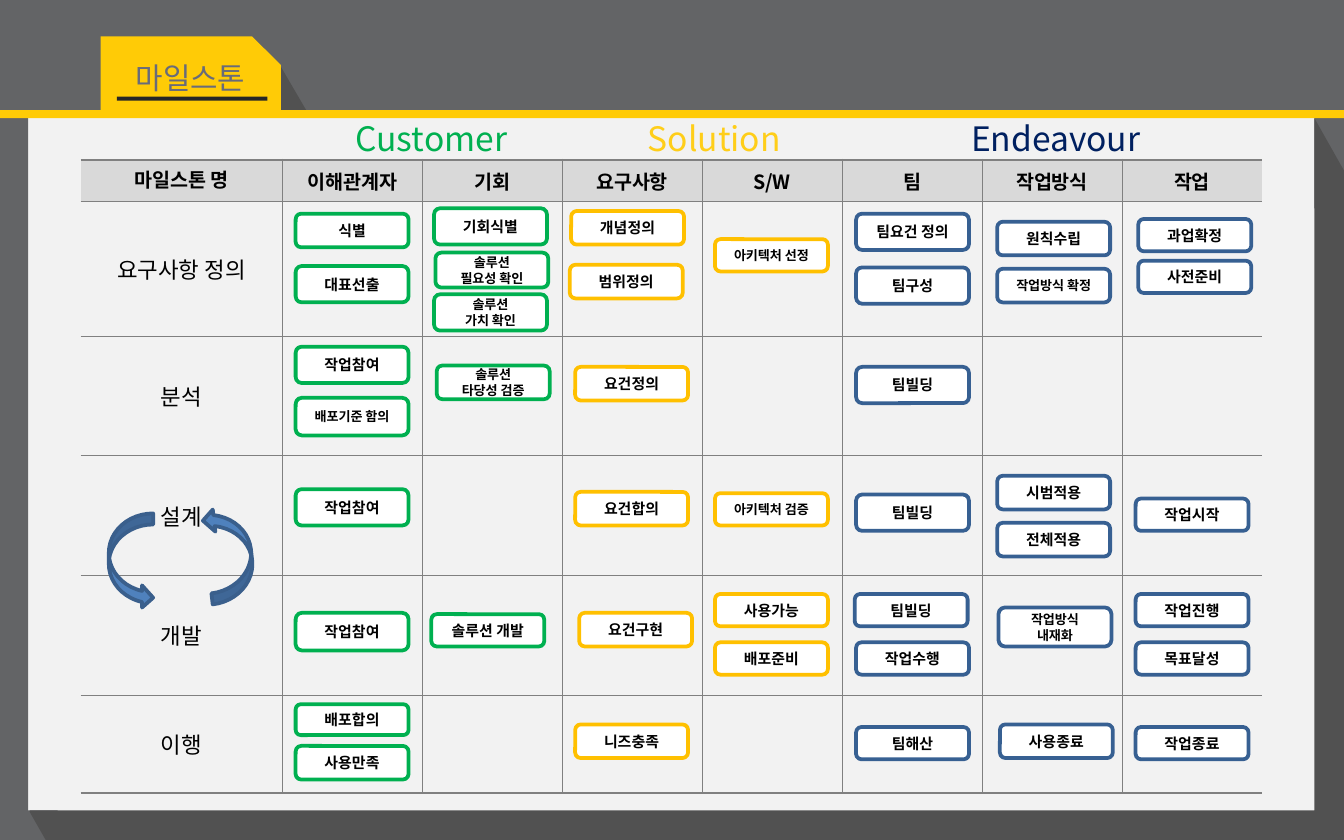
from dataclasses import dataclass

from lxml.etree import SubElement
from pptx import Presentation
from pptx.dml.color import RGBColor
from pptx.enum.shapes import MSO_SHAPE
from pptx.enum.text import MSO_ANCHOR, MSO_AUTO_SIZE, PP_ALIGN
from pptx.oxml.ns import qn
from pptx.util import Inches, Pt


@dataclass(frozen=True)
class Theme:
    font: str = "Noto Sans CJK KR"
    # Colours
    paper: str = "F2F2F2"
    frame: str = "636466"
    shade: str = "515151"
    accent: str = "FFCB06"
    rule: str = "262626"
    title: str = "686B7A"
    text: str = "000000"
    white: str = "FFFFFF"
    header: str = "D9D9D9"
    grid: str = "808080"
    green: str = "00B050"
    amber: str = "FFC000"
    yellow: str = "FFCE19"
    blue: str = "376092"
    navy: str = "002060"
    arrow: str = "4F81BD"
    arrow_line: str = "3A5F8C"
    # Type sizes and line widths in points
    title_size: float = 16
    group_size: float = 18
    header_size: float = 10.5
    row_size: float = 12
    box_size: float = 8
    small_size: float = 7
    thin: float = 0.25
    thick: float = 1.5
    outline: float = 2


THEME = Theme()

HEADERS = ["마일스톤 명", "이해관계자", "기회", "요구사항", "S/W", "팀", "작업방식", "작업"]
PHASES = ["요구사항 정의", "분석", "설계", "개발", "이행"]
ROW_HEIGHTS = [0.31, 1, 0.89, 0.89, 0.89, 0.73]
TABLE_LEFT, TABLE_TOP, TABLE_WIDTH, FIRST_COL = 0.6, 1.19, 8.79, 1.5

# Group heading: text, left, width, colour
GROUPS = [
    ("Customer", 2.51, 1.4, THEME.green),
    ("Solution", 4.7, 1.23, THEME.yellow),
    ("Endeavour", 7.01, 1.69, THEME.navy),
]

# One entry per table column: colour, then boxes as (text, left, top, height)
BOX_WIDTH = 0.84
MILESTONES = [
    (THEME.green, [
        ("식별", 2.2, 1.59, 0.25), ("대표선출", 2.2, 1.98, 0.27),
        ("작업참여", 2.2, 2.58, 0.27), ("배포기준 함의", 2.2, 2.96, 0.28),
        ("작업참여", 2.2, 3.64, 0.27), ("작업참여", 2.2, 4.56, 0.28),
        ("배포합의", 2.2, 5.24, 0.23), ("사용만족", 2.2, 5.55, 0.25)]),
    (THEME.green, [
        ("기회식별", 3.23, 1.55, 0.27), ("솔루션\n필요성 확인", 3.24, 1.88, 0.26),
        ("솔루션\n가치 확인", 3.23, 2.19, 0.27), ("솔루션\n타당성 검증", 3.25, 2.72, 0.25),
        ("솔루션 개발", 3.21, 4.57, 0.24)]),
    (THEME.amber, [
        ("개념정의", 4.25, 1.57, 0.25), ("범위정의", 4.24, 1.97, 0.25),
        ("요건정의", 4.28, 2.73, 0.25), ("요건합의", 4.28, 3.66, 0.25),
        ("요건구현", 4.31, 4.56, 0.25), ("니즈충족", 4.28, 5.39, 0.25)]),
    (THEME.amber, [
        ("아키텍처 선정", 5.32, 1.78, 0.24), ("아키텍처 검증", 5.32, 3.67, 0.24),
        ("사용가능", 5.32, 4.42, 0.24), ("배포준비", 5.32, 4.78, 0.24)]),
    (THEME.blue, [
        ("팀요건 정의", 6.37, 1.59, 0.27), ("팀구성", 6.37, 1.99, 0.27),
        ("팀빌딩", 6.37, 2.73, 0.27), ("팀빌딩", 6.37, 3.68, 0.27),
        ("팀빌딩", 6.36, 4.42, 0.24), ("작업수행", 6.37, 4.78, 0.24),
        ("팀해산", 6.37, 5.41, 0.24)]),
    (THEME.blue, [
        ("원칙수립", 7.42, 1.65, 0.25), ("작업방식 확정", 7.42, 2, 0.25),
        ("시범적용", 7.42, 3.54, 0.25), ("전체적용", 7.42, 3.89, 0.25),
        ("작업방식\n내재화", 7.43, 4.52, 0.29), ("사용종료", 7.44, 5.39, 0.25)]),
    (THEME.blue, [
        ("과업확정", 8.47, 1.63, 0.24), ("사전준비", 8.47, 1.94, 0.24),
        ("작업시작", 8.45, 3.71, 0.24), ("작업진행", 8.45, 4.42, 0.24),
        ("목표달성", 8.45, 4.78, 0.24), ("작업종료", 8.45, 5.41, 0.24)]),
]


def write(tf, text, size, color=THEME.text, bold=False, align=PP_ALIGN.CENTER, spacing=None):
    """Fill a text frame, one paragraph per line of text."""
    for i, line in enumerate(text.split("\n")):
        p = tf.add_paragraph() if i else tf.paragraphs[0]
        p.alignment = align
        if spacing:
            p.line_spacing = spacing
        r = p.add_run()
        r.text = line
        r.font.size, r.font.bold, r.font.name = Pt(size), bold, THEME.font
        r.font.color.rgb = RGBColor.from_string(color)
        SubElement(r.font._element, qn("a:ea"), typeface=THEME.font)


class SlideBuilder:
    def __init__(self, prs, theme):
        self.theme = theme
        self.slide = prs.slides.add_slide(prs.slide_layouts[5])
        self.shapes = self.slide.shapes
        fill = self.slide.background.fill
        fill.solid()
        fill.fore_color.rgb = RGBColor.from_string(theme.paper)

    def paint(self, sp, fill, line=None):
        sp.shadow.inherit = False
        sp.fill.solid()
        sp.fill.fore_color.rgb = RGBColor.from_string(fill)
        if line:
            sp.line.color.rgb = RGBColor.from_string(line)
            sp.line.width = Pt(self.theme.outline)
        else:
            sp.line.fill.background()
        return sp

    def shape(self, kind, x, y, w, h, fill, line=None):
        sp = self.shapes.add_shape(kind, Inches(x), Inches(y), Inches(w), Inches(h))
        return self.paint(sp, fill, line)

    def polygon(self, points, fill):
        start, *rest = [(Inches(x), Inches(y)) for x, y in points]
        builder = self.shapes.build_freeform(*start)
        builder.add_line_segments(rest, close=True)
        return self.paint(builder.convert_to_shape(), fill)

    def title(self, text, x, y, w, h):
        sp = self.shapes.title
        sp.left, sp.top, sp.width, sp.height = Inches(x), Inches(y), Inches(w), Inches(h)
        tf = sp.text_frame
        tf.word_wrap, tf.auto_size = False, MSO_AUTO_SIZE.NONE
        tf.vertical_anchor = MSO_ANCHOR.TOP
        write(tf, text, self.theme.title_size, self.theme.title, align=PP_ALIGN.LEFT)
        # Bring the title in front of its tab
        self.shapes._spTree.append(sp._element)

    def label(self, text, x, y, w, h, color):
        tf = self.shapes.add_textbox(Inches(x), Inches(y), Inches(w), Inches(h)).text_frame
        tf.word_wrap = True
        write(tf, text, self.theme.group_size, color)

    def milestone(self, text, x, y, h, color):
        sp = self.shape(MSO_SHAPE.ROUNDED_RECTANGLE, x, y, BOX_WIDTH, h, self.theme.white, color)
        tf = sp.text_frame
        tf.margin_left = tf.margin_right = tf.margin_top = tf.margin_bottom = 0
        tf.vertical_anchor = MSO_ANCHOR.MIDDLE
        size = self.theme.small_size if len(text) > 6 else self.theme.box_size
        write(tf, text, size, bold=True)

    def borders(self, cell, **widths):
        """Draw the L, R, T and B edges; a width of 0 hides an edge."""
        tc_pr = cell._tc.get_or_add_tcPr()
        for i, (side, width) in enumerate(widths.items()):
            ln = SubElement(tc_pr, qn(f"a:ln{side}"), w=str(Pt(width)))
            if width:
                fill = SubElement(ln, qn("a:solidFill"))
                SubElement(fill, qn("a:srgbClr"), val=self.theme.grid)
            else:
                SubElement(ln, qn("a:noFill"))
            tc_pr.insert(i, ln)

    def table(self, headers, phases, heights):
        t = self.theme
        n_rows, n_cols = len(heights), len(headers)
        table = self.shapes.add_table(n_rows, n_cols, Inches(TABLE_LEFT), Inches(TABLE_TOP),
                                      Inches(TABLE_WIDTH), Inches(sum(heights))).table
        table.first_row = table.horz_banding = False
        for c, column in enumerate(table.columns):
            column.width = Inches((TABLE_WIDTH - FIRST_COL) / (n_cols - 1) if c else FIRST_COL)
        for r, row in enumerate(table.rows):
            row.height = Inches(heights[r])
            for c, cell in enumerate(row.cells):
                cell.margin_top = cell.margin_bottom = 0
                cell.margin_left = cell.margin_right = Inches(0.08)
                cell.vertical_anchor = MSO_ANCHOR.MIDDLE
                if r == 0:
                    cell.fill.solid()
                    cell.fill.fore_color.rgb = RGBColor.from_string(t.header)
                    write(cell.text_frame, headers[c], t.header_size, bold=True,
                          spacing=None if c else 0.8)
                else:
                    cell.fill.background()
                    if c == 0:
                        write(cell.text_frame, phases[r - 1], t.row_size)
                self.borders(cell, L=t.thin if c else 0, R=t.thin if c < n_cols - 1 else 0,
                             T=t.thin if r else t.thick, B=t.thin if r < n_rows - 1 else t.thick)


def main():
    prs = Presentation()
    prs.slide_width, prs.slide_height = Inches(10), Inches(6.25)
    t = THEME
    s = SlideBuilder(prs, t)

    # Folder frame and title tab
    s.shape(MSO_SHAPE.RECTANGLE, 9.78, 0.73, 0.22, 0.82, t.frame)
    s.polygon([(0, 0.88), (0.21, 0.88), (0.21, 6.03), (0.43, 6.03), (0.43, 6.25), (0, 6.25)], t.frame)
    s.shape(MSO_SHAPE.RECTANGLE, 0, 0, 10, 0.82, t.frame)
    s.polygon([(1.82, 0.48), (2.08, 0.48), (2.29, 0.84), (1.82, 0.84)], t.shade)
    tab = s.shape(MSO_SHAPE.SNIP_1_RECTANGLE, 0.75, 0.27, 1.34, 0.55, t.accent)
    tab.adjustments[0] = 0.39
    s.shape(MSO_SHAPE.RECTANGLE, 0.87, 0.72, 1.12, 0.03, t.rule)
    s.polygon([(9.78, 0.88), (10, 1.27), (10, 6.25), (0.34, 6.25), (0.22, 6.04), (0.22, 6.03),
               (9.78, 6.03)], t.shade)
    s.shape(MSO_SHAPE.RECTANGLE, 0, 0.82, 10, 0.06, t.accent)
    s.title("마일스톤", 0.91, 0.39, 1.02, 0.37)

    # Milestone grid
    s.table(HEADERS, PHASES, ROW_HEIGHTS)
    for color, boxes in MILESTONES:
        for text, x, y, h in boxes:
            s.milestone(text, x, y, h, color)

    # Iteration loop between design and development
    for x, y, angle in [(0.81, 3.82, 0), (1.54, 3.77, 173.3)]:
        arrow = s.shape(MSO_SHAPE.CURVED_RIGHT_ARROW, x, y, 0.33, 0.71, t.arrow, t.arrow_line)
        arrow.rotation = angle

    # Group headings
    for text, x, w, color in GROUPS:
        s.label(text, x, 0.83, w, 0.4, color)

    prs.save("out.pptx")


if __name__ == "__main__":
    main()
